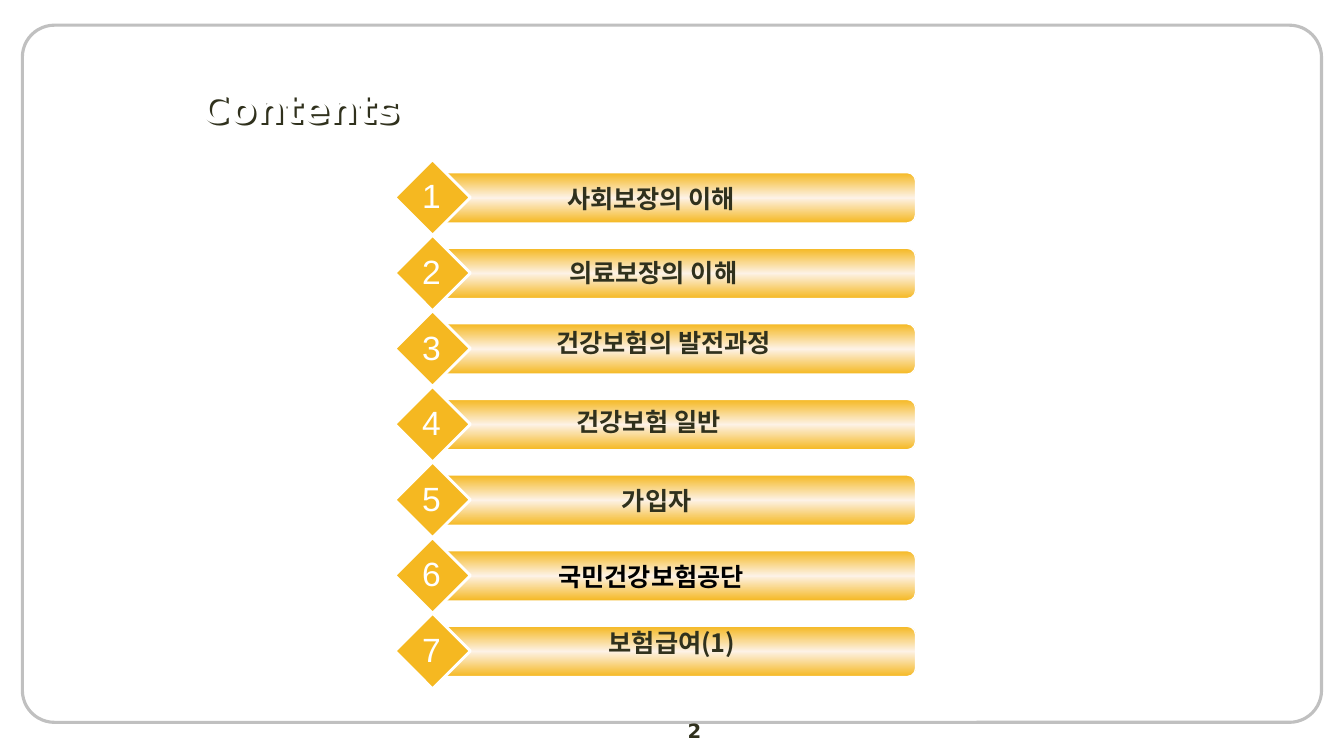
"""Build the numbered contents slide."""
from copy import deepcopy
from dataclasses import dataclass

from lxml import etree
from pptx import Presentation
from pptx.dml.color import RGBColor
from pptx.enum.shapes import MSO_SHAPE
from pptx.enum.text import MSO_ANCHOR, PP_ALIGN
from pptx.oxml.ns import qn
from pptx.util import Pt

ROUNDED, DIAMOND = MSO_SHAPE.ROUNDED_RECTANGLE, MSO_SHAPE.DIAMOND
LEFT, CENTER = PP_ALIGN.LEFT, PP_ALIGN.CENTER
TOP, MIDDLE = MSO_ANCHOR.TOP, MSO_ANCHOR.MIDDLE

TITLE = "Contents"
PAGE_NUMBER = "2"


@dataclass(frozen=True)
class Theme:
    ink: str = "30311D"
    black: str = "000000"
    white: str = "FFFFFF"
    frame: str = "C0C0C0"
    gold: str = "F5B821"
    cream: str = "FDF2E6"
    heading_font: str = "DejaVu Sans"
    body_font: str = "Arial"
    korean_font: str = "Noto Sans CJK KR"
    title_size: float = 28
    number_size: float = 24
    label_size: float = 18
    page_size: float = 14


THEME = Theme()
CHAPTERS = [
    ("사회보장의 이해", 330, 127.6, THEME.body_font, THEME.ink),
    ("의료보장의 이해", 331.6, 180, THEME.body_font, THEME.ink),
    ("건강보험의 발전과정", 339, 230.4, THEME.korean_font, THEME.ink),
    ("건강보험 일반", 328.3, 286.6, THEME.korean_font, THEME.ink),
    ("가입자", 334, 343.4, THEME.korean_font, THEME.ink),
    ("국민건강보험공단", 330, 397.6, THEME.body_font, THEME.black),
    ("보험급여(1)", 345, 444.2, THEME.korean_font, THEME.ink),
]
FIRST_TOP, PITCH = 114, 54


def place(shape, left, top, width, height):
    shape.left, shape.top = Pt(left), Pt(top)
    shape.width, shape.height = Pt(width), Pt(height)


def write(box, text, *, size, font, color, bold=False, align=CENTER, anchor=TOP, wrap=True):
    frame = box.text_frame
    frame.word_wrap = wrap
    frame.vertical_anchor = anchor
    para = frame.paragraphs[0]
    para.alignment = align
    span = para.add_run()
    span.text = text
    span.font.size = Pt(size)
    span.font.bold = bold
    span.font.color.rgb = RGBColor.from_string(color)
    span.font.name = font
    latin = span.font._element.find(qn("a:latin"))
    east_asian = etree.Element(qn("a:ea"), typeface=THEME.korean_font)
    latin.addnext(east_asian)


def add_text(page, text, area, **style):
    write(page.shapes.add_textbox(*map(Pt, area)), text, **style)


def add_outline(page, kind, area, line, weight):
    shape = page.shapes.add_shape(kind, *map(Pt, area))
    shape.shadow.inherit = False
    shape.line.color.rgb = RGBColor.from_string(line)
    shape.line.width = Pt(weight)
    return shape


def fill_gradient(shape, colors):
    shape.fill.gradient()
    shape.fill.gradient_angle = 90
    stop_list = shape._element.spPr.find(".//" + qn("a:gsLst"))
    while len(stop_list) < len(colors):
        stop_list.append(deepcopy(stop_list[-1]))
    for index, (stop, color) in enumerate(zip(shape.fill.gradient_stops, colors)):
        stop.color.rgb = RGBColor.from_string(color)
        stop.position = index / (len(colors) - 1)


def add_shadow(shape, color, distance):
    shape.fill.background()
    shape.shadow.inherit = False
    effects = shape._element.spPr.find(qn("a:effectLst"))
    shadow = etree.SubElement(effects, qn("a:outerShdw"), dist=str(Pt(distance)),
                              dir="2700000", algn="ctr", rotWithShape="0")
    etree.SubElement(shadow, qn("a:srgbClr"), val=color)


def add_chapter(page, index, label, label_left, label_top, font, color):
    top = FIRST_TOP + index * PITCH
    bar = add_outline(page, ROUNDED, (312, top + 9.3, 342, 36), THEME.white, 1)
    bar.adjustments[0] = 0.167
    fill_gradient(bar, (THEME.gold, THEME.cream, THEME.gold))
    marker = add_outline(page, DIAMOND, (282, top, 54, 54), THEME.white, 2)
    marker.fill.solid()
    marker.fill.fore_color.rgb = RGBColor.from_string(THEME.gold)
    add_text(page, label, (label_left, label_top, 270, 29),
             size=THEME.label_size, font=font, color=color, bold=True)
    add_text(page, str(index + 1), (294.2, top + 7.7, 28, 36),
             size=THEME.number_size, font=THEME.body_font, color=THEME.white, wrap=False)


def main():
    deck = Presentation()
    deck.slide_width, deck.slide_height = Pt(960), Pt(540)
    page = deck.slides.add_slide(deck.slide_layouts[5])

    border = add_outline(page, ROUNDED, (16, 18, 928, 498), THEME.frame, 2.25)
    border.adjustments[0] = 0.046
    border.fill.background()
    add_text(page, PAGE_NUMBER, (384, 510, 224, 19.5), size=THEME.page_size,
             font=THEME.heading_font, color=THEME.ink, bold=True)

    title = page.shapes.title
    place(title, 136, 56, 768, 42)
    write(title, TITLE, size=THEME.title_size, font=THEME.heading_font,
          color=THEME.white, bold=True, align=LEFT, anchor=MIDDLE)
    add_shadow(title, THEME.ink, 2.25)

    for index, chapter in enumerate(CHAPTERS):
        add_chapter(page, index, *chapter)
    deck.save("out.pptx")


if __name__ == "__main__":
    main()
